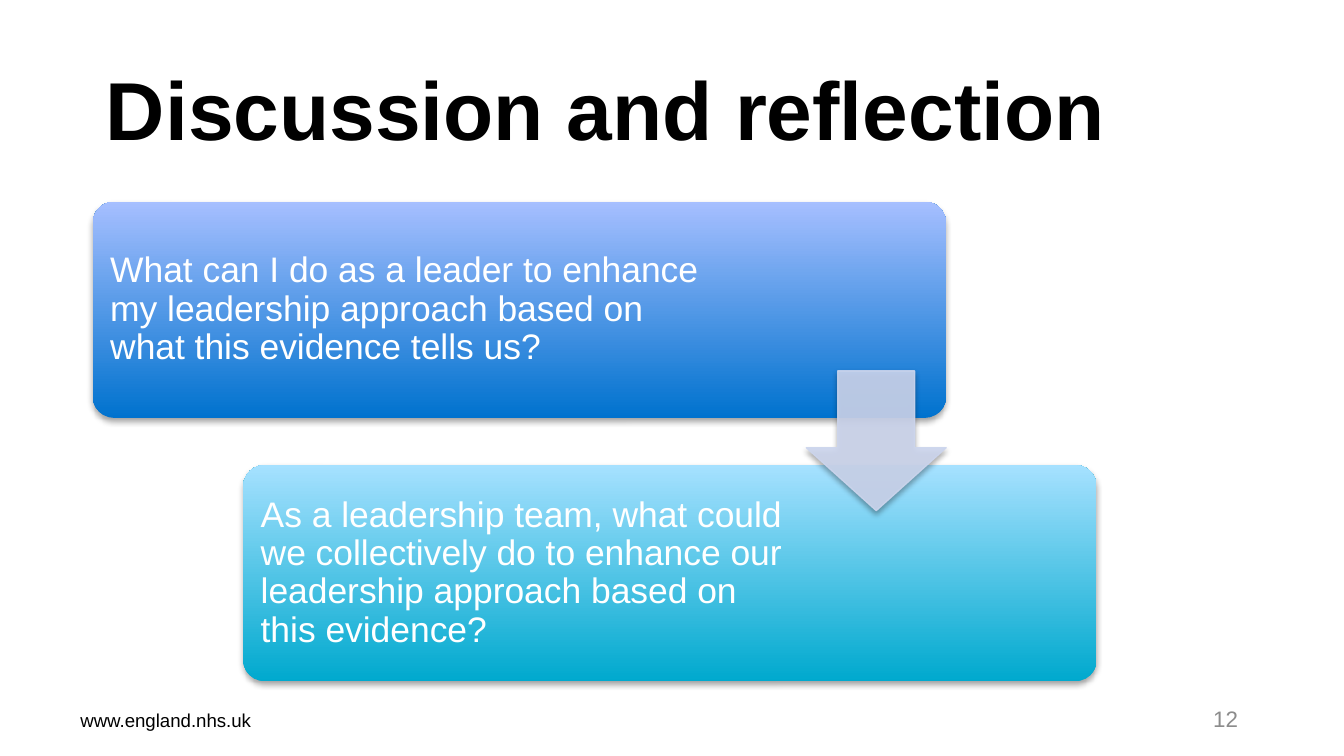
from dataclasses import dataclass

from lxml.etree import SubElement
from pptx import Presentation
from pptx.dml.color import RGBColor
from pptx.enum.shapes import MSO_SHAPE as Shape
from pptx.enum.text import MSO_ANCHOR as Anchor, PP_ALIGN as Align
from pptx.oxml.ns import qn
from pptx.util import Inches, Pt


@dataclass(frozen=True)
class Theme:
    font: str = "Arial"
    black: str = "000000"
    white: str = "FFFFFF"
    grey: str = "8C8C8C"
    arrow: str = "CCD5ED"
    blue: tuple = ("0072CE", "A6BFFF")
    cyan: tuple = ("00A9CE", "A6E1FF")
    title_size: float = 44
    body_size: float = 19
    number_size: float = 12
    footer_size: float = 10


THEME = Theme()
CARD_WIDTH, CARD_HEIGHT = 6.35, 1.61
CARD_PADDING = 0.05


def rgb(value):
    return RGBColor.from_string(value)


def add_text(page, text, place, size, color, bold=False, align=Align.LEFT,
             spacing=1.0, inset=None):
    box = page.shapes.add_textbox(*map(Inches, place))
    frame = box.text_frame
    frame.word_wrap = True
    frame.vertical_anchor = Anchor.MIDDLE
    if inset is not None:
        frame.margin_left = frame.margin_right = Inches(inset)
        frame.margin_top = frame.margin_bottom = Inches(inset)
    frame.text = text
    para = frame.paragraphs[0]
    para.alignment = align
    para.line_spacing = spacing
    span = para.runs[0]
    span.font.name = THEME.font
    span.font.size = Pt(size)
    span.font.bold = bold
    span.font.color.rgb = rgb(color)


def set_alpha(color_element, percent):
    SubElement(color_element, qn("a:alpha"), val=str(percent * 1000))


def add_shadow(shape):
    shape.shadow.inherit = False
    effects = shape._element.spPr.find(qn("a:effectLst"))
    shadow = SubElement(effects, qn("a:outerShdw"), blurRad=str(Pt(3.1)),
                        dist=str(Pt(1.8)), dir="5400000", rotWithShape="0")
    set_alpha(SubElement(shadow, qn("a:srgbClr"), val=THEME.black), 35)


def add_card(page, text, left, top, text_width, colors):
    card = page.shapes.add_shape(Shape.ROUNDED_RECTANGLE, Inches(left), Inches(top),
                                 Inches(CARD_WIDTH), Inches(CARD_HEIGHT))
    card.adjustments[0] = 0.1
    card.fill.gradient()
    card.fill.gradient_angle = 90
    for stop, color in zip(card.fill.gradient_stops, colors):
        stop.color.rgb = rgb(color)
    card.line.fill.background()
    add_shadow(card)
    place = (left + CARD_PADDING, top + CARD_PADDING,
             text_width, CARD_HEIGHT - 2 * CARD_PADDING)
    add_text(page, text, place, THEME.body_size, THEME.white, spacing=0.9, inset=0.08)


def add_down_arrow(page, left, top, size):
    arrow = page.shapes.add_shape(Shape.DOWN_ARROW, Inches(left), Inches(top),
                                  Inches(size), Inches(size))
    arrow.adjustments[0] = 0.55
    arrow.adjustments[1] = 0.45
    arrow.fill.solid()
    arrow.fill.fore_color.rgb = rgb(THEME.arrow)
    arrow.line.color.rgb = rgb(THEME.arrow)
    arrow.line.width = Pt(0.75)
    for color in arrow._element.spPr.iter(qn("a:srgbClr")):
        set_alpha(color, 90)
    add_shadow(arrow)


def main():
    deck = Presentation()
    deck.slide_width = Inches(10)
    deck.slide_height = deck.slide_width * 9 // 16
    page = deck.slides.add_slide(deck.slide_layouts[6])

    add_text(page, "www.england.nhs.uk", (0.5, 5.21, 2.33, 0.3),
             THEME.footer_size, THEME.black)
    add_card(page, "What can I do as a leader to enhance my leadership approach "
             "based on what this evidence tells us?", 0.69, 1.5, 4.69, THEME.blue)
    add_card(page, "As a leadership team, what could we collectively do to enhance "
             "our leadership approach based on this evidence?",
             1.81, 3.46, 4.09, THEME.cyan)
    add_down_arrow(page, 6, 2.76, 1.04)
    add_text(page, "Discussion and reflection", (0.69, 0.3, 8.62, 1.09),
             THEME.title_size, THEME.black, bold=True, spacing=0.9)
    add_text(page, "12", (7.06, 5.21, 2.25, 0.3), THEME.number_size, THEME.grey,
             align=Align.RIGHT, spacing=0.9)
    deck.save("out.pptx")


if __name__ == "__main__":
    main()
